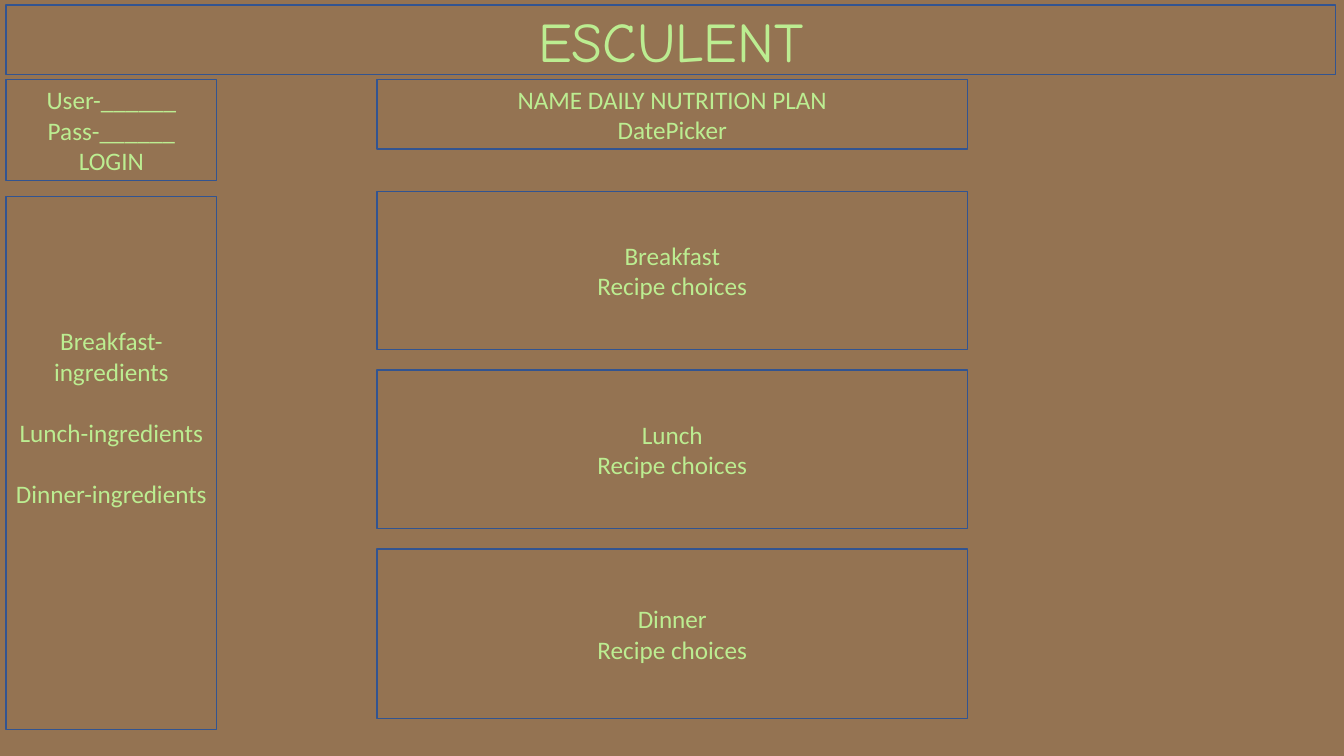
import pptx
import pptx.dml.color
import pptx.enum.shapes
import pptx.enum.text
import pptx.util

Pt = pptx.util.Pt
RGBColor = pptx.dml.color.RGBColor

BROWN = RGBColor(0x94, 0x73, 0x52)
BLUE = RGBColor(0x32, 0x54, 0x91)
GREEN = RGBColor(0xBC, 0xED, 0x91)

# Page grid, in points
SIDE_LEFT, SIDE_WIDTH = 4.3, 150.5
MAIN_LEFT, MAIN_WIDTH = 269.3, 421.9
ROW_TOP = 56.9
MEAL_TOP, MEAL_STEP = 136.6, 127.8
LINE_HEIGHT = 22


def style_panel(sp, lines, font="Calibri", size=18, gap=0):
    """Fill, outline and centred text shared by the title and all panels."""
    sp.fill.solid()
    sp.fill.fore_color.rgb = BROWN
    sp.line.color.rgb = BLUE
    sp.line.width = Pt(1)
    tf = sp.text_frame
    tf.word_wrap = True
    tf.auto_size = pptx.enum.text.MSO_AUTO_SIZE.NONE
    tf.vertical_anchor = pptx.enum.text.MSO_ANCHOR.MIDDLE
    tf.text = "\n".join(lines)
    for i, p in enumerate(tf.paragraphs):
        p.alignment = pptx.enum.text.PP_ALIGN.CENTER
        p.space_before = Pt(gap if i else 0)
        p.font.name = font
        p.font.size = Pt(size)
        p.font.color.rgb = GREEN


def add_title(slide, text):
    sp = slide.shapes.title
    sp.left, sp.top, sp.width, sp.height = Pt(4.3), Pt(3.6), Pt(949.7), Pt(49.7)
    style_panel(sp, [text], font="Comic Neue", size=40)


def add_panel(slide, left, top, width, height, lines, gap=0):
    sp = slide.shapes.add_shape(
        pptx.enum.shapes.MSO_SHAPE.RECTANGLE,
        Pt(left), Pt(top), Pt(width), Pt(height))
    sp.shadow.inherit = False
    style_panel(sp, lines, gap=gap)
    return sp


def main():
    prs = pptx.Presentation()
    prs.slide_width, prs.slide_height = Pt(960), Pt(540)
    slide = prs.slides.add_slide(prs.slide_layouts[5])
    slide.background.fill.solid()
    slide.background.fill.fore_color.rgb = BROWN

    # Header
    add_title(slide, "ESCULENT")
    add_panel(slide, MAIN_LEFT, ROW_TOP, MAIN_WIDTH, 49.7,
              ["NAME DAILY NUTRITION PLAN", "DatePicker"])

    # Login and ingredients sidebar
    add_panel(slide, SIDE_LEFT, ROW_TOP, SIDE_WIDTH, 72,
              ["User-______", "Pass-______", "LOGIN"])
    meals = ["Breakfast", "Lunch", "Dinner"]
    sidebar = add_panel(slide, SIDE_LEFT, 140.4, SIDE_WIDTH, 380.9,
                        [f"{meal}-ingredients" for meal in meals],
                        gap=LINE_HEIGHT)
    # The list sits above the middle by three lines of bottom inset
    sidebar.text_frame.margin_bottom = Pt(3.6 + 3 * LINE_HEIGHT)

    # Meal panels
    for i, (meal, height) in enumerate(zip(meals, [113, 113, 121])):
        add_panel(slide, MAIN_LEFT, MEAL_TOP + i * MEAL_STEP, MAIN_WIDTH,
                  height, [meal, "Recipe choices"])

    prs.save("out.pptx")


main()
